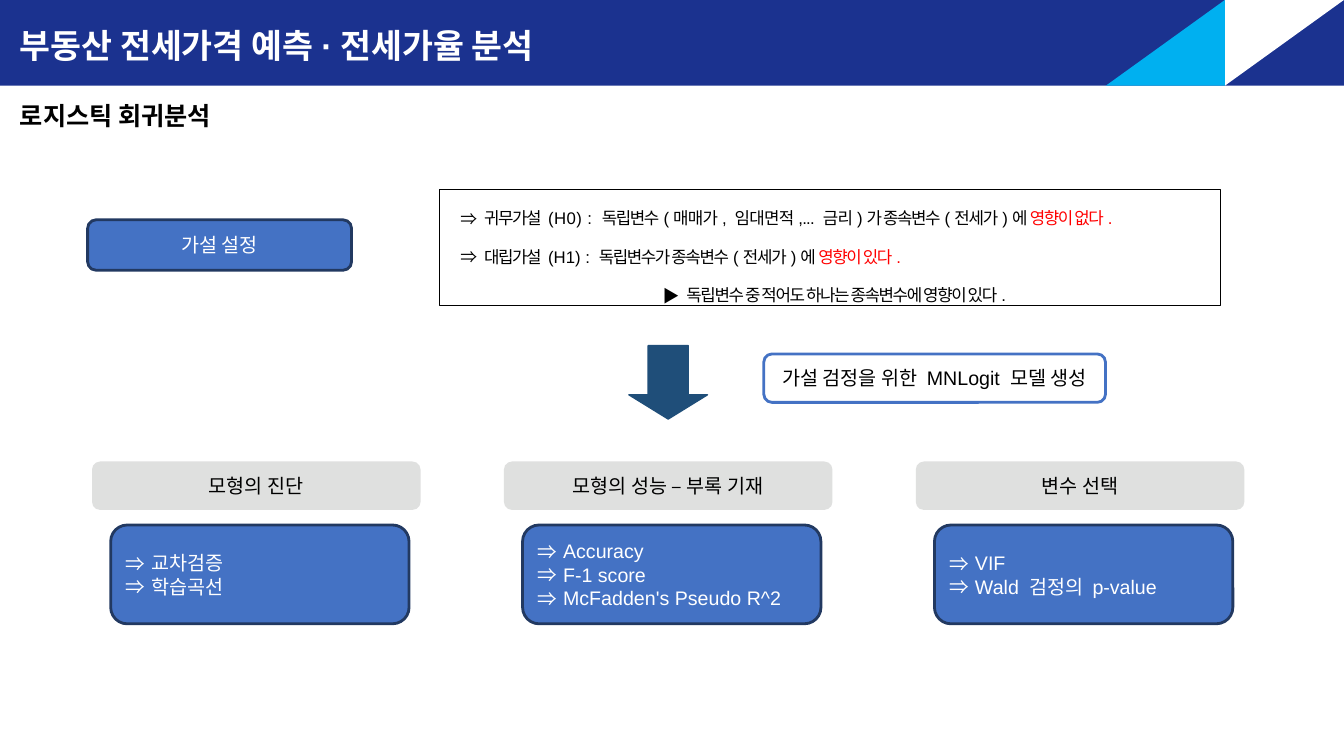
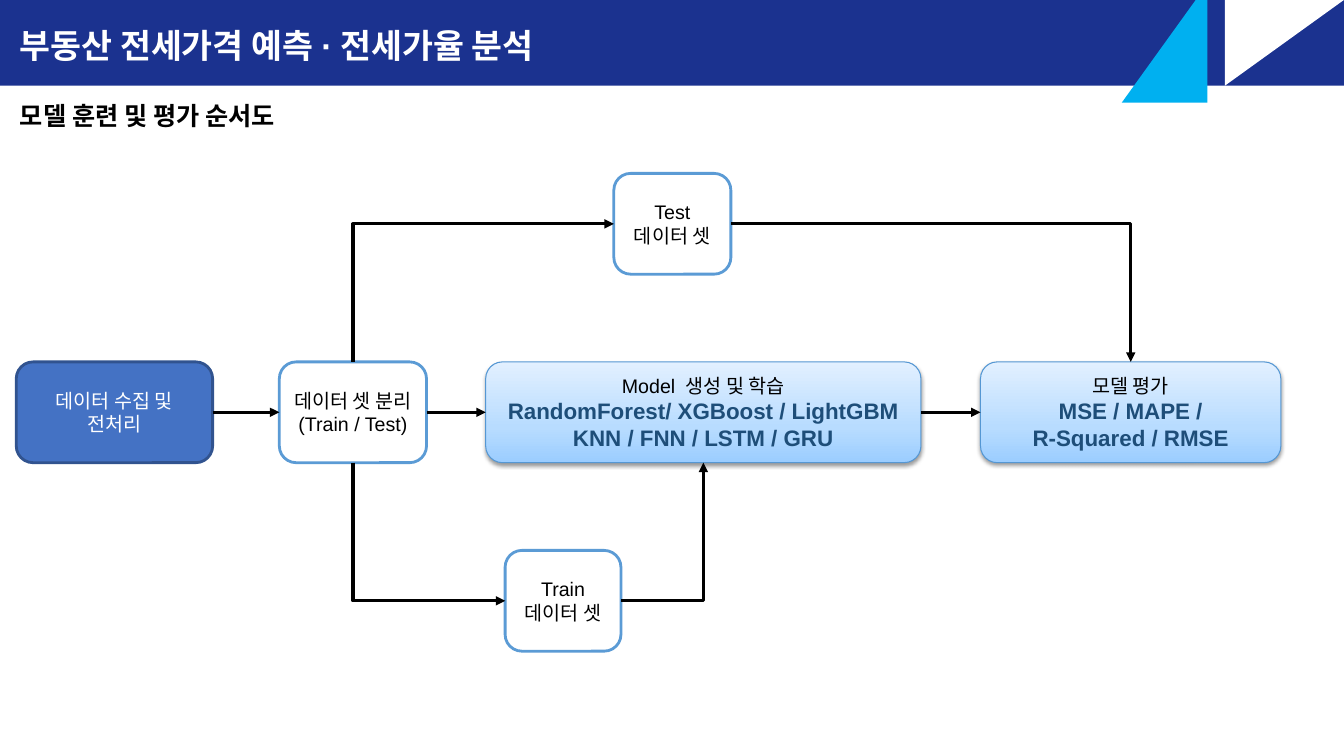
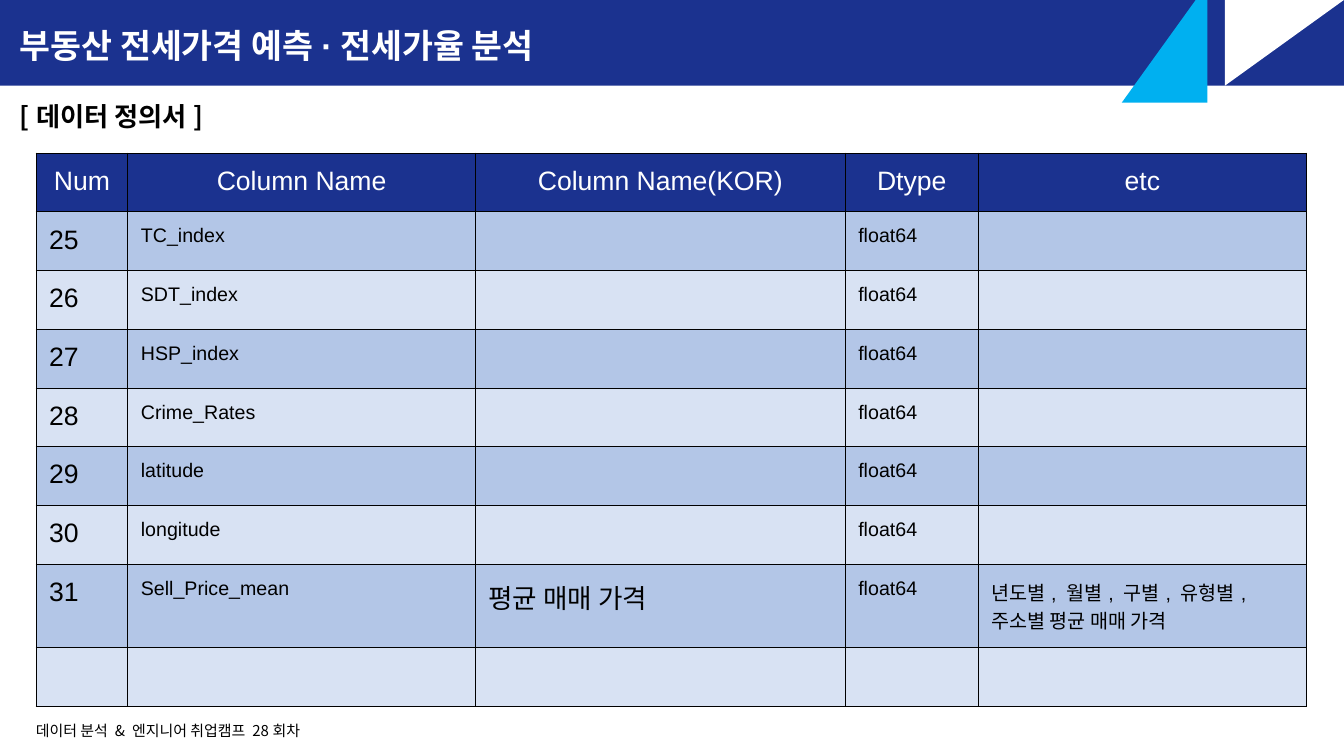
import lxml.etree
import pptx
import pptx.dml.color
import pptx.enum.shapes
import pptx.enum.text
import pptx.oxml.ns
import pptx.util

Cm = pptx.util.Cm
Pt = pptx.util.Pt
KIND = pptx.enum.shapes.MSO_SHAPE
LINK = pptx.enum.shapes.MSO_CONNECTOR
ALIGN = pptx.enum.text.PP_ALIGN
ANCHOR = pptx.enum.text.MSO_ANCHOR

COLORS = {
    "white": "FFFFFF", "black": "000000", "red": "FF0000",
    "navy": "1B328F", "cyan": "00B0F0", "blue": "4472C4",
    "edge": "223961", "start_edge": "31538F", "sky_edge": "5B9BD5",
    "model_edge": "5597D3", "arrow": "1F4E79", "models": "1E4E79",
    "gray": "DFE0DF", "row_dark": "B3C6E7", "row_light": "D8E2F3",
}
GRADIENT = [(0, "9BCDFF"), (35, "B8DCFF"), (100, "E2F0FF")]
KOREAN = "Noto Sans CJK KR"
DECK_TITLE = "부동산 전세가격 예측·전세가율 분석"
TOP, LEFT, BOTTOM, RIGHT = range(4)


def rgb(name):
    return pptx.dml.color.RGBColor.from_string(COLORS[name])


def add_xml(parent, tag, **values):
    return lxml.etree.SubElement(parent, pptx.oxml.ns.qn(tag), values)


def add_text(para, text, size=14, color="black", bold=False, font="Arial", tracking=0):
    span = para.add_run()
    span.text = text
    span.font.size = Pt(size)
    span.font.bold = bold
    span.font.name = font
    span.font.color.rgb = rgb(color)
    props = span.font._element
    add_xml(props, "a:ea", typeface=KOREAN)
    if tracking:
        props.set("spc", str(round(tracking * 100)))


def add_bullet(para, mark, color, hanging, indent=0):
    props = para._p.get_or_add_pPr()
    props.set("marL", str(Cm(indent + hanging)))
    props.set("indent", str(-Cm(hanging)))
    add_xml(add_xml(props, "a:buClr"), "a:srgbClr", val=COLORS[color])
    add_xml(props, "a:buFont", typeface=KOREAN)
    add_xml(props, "a:buChar", char=mark)


def write_lines(frame, lines, align=ALIGN.CENTER, bullet=None, **style):
    frame.word_wrap = True
    for number, line in enumerate(lines):
        para = frame.paragraphs[0] if number == 0 else frame.add_paragraph()
        para.alignment = align
        if bullet:
            add_bullet(para, bullet, style.get("color", "black"), 0.65)
        text, extra = (line, {}) if isinstance(line, str) else line
        add_text(para, text, **{**style, **extra})


def set_margins(frame, left=0, top=0, right=0, bottom=0):
    frame.margin_left, frame.margin_top = Cm(left), Cm(top)
    frame.margin_right, frame.margin_bottom = Cm(right), Cm(bottom)


def add_box(page, kind, left, top, width, height, fill=None, line=None, weight=2):
    box = page.shapes.add_shape(kind, Cm(left), Cm(top), Cm(width), Cm(height))
    box.shadow.inherit = False
    if fill:
        box.fill.solid()
        box.fill.fore_color.rgb = rgb(fill)
    else:
        box.fill.background()
    if line:
        box.line.color.rgb = rgb(line)
        box.line.width = Pt(weight)
    else:
        box.line.fill.background()
    return box


def add_card(page, place, lines, fill="white", line="sky_edge", weight=2, **style):
    card = add_box(page, KIND.ROUNDED_RECTANGLE, *place, fill, line, weight)
    card.text_frame.vertical_anchor = ANCHOR.MIDDLE
    write_lines(card.text_frame, lines, **style)
    return card


def add_triangle(page, place, color, flip):
    triangle = add_box(page, KIND.RIGHT_TRIANGLE, *place, color)
    triangle.element.spPr.find(pptx.oxml.ns.qn("a:xfrm")).set(flip, "1")


def add_page(deck, heading, accent, size=18):
    page = deck.slides.add_slide(deck.slide_layouts[5])
    title = page.shapes.title
    title.left, title.top = Cm(0.25), Cm(2.41)
    title.width, title.height = Cm(15), Cm(1.02)
    title.text_frame.auto_size = pptx.enum.text.MSO_AUTO_SIZE.NONE
    title.text_frame.vertical_anchor = ANCHOR.TOP
    write_lines(title.text_frame, [heading], ALIGN.LEFT, size=size, bold=True, font=KOREAN)

    band = add_box(page, KIND.RECTANGLE, 0, 0, 33.87, 2.16, "navy")
    set_margins(band.text_frame, 0.5, 0.13, 0.25, 0.13)
    band.text_frame.vertical_anchor = ANCHOR.TOP
    write_lines(band.text_frame, [DECK_TITLE], ALIGN.LEFT, size=24, color="white", bold=True)
    band.text_frame.paragraphs[0].line_spacing = 1.5
    add_triangle(page, (30.87, 0, 3, 2.16), "white", "flipV")
    add_triangle(page, accent, "cyan", "flipH")
    return page


def add_glow(card):
    card.fill.gradient()
    card.fill.gradient_angle = 90
    stops = card.element.spPr.find(".//" + pptx.oxml.ns.qn("a:gsLst"))
    for stop in list(stops):
        stops.remove(stop)
    for position, color in GRADIENT:
        stop = add_xml(stops, "a:gs", pos=str(position * 1000))
        add_xml(stop, "a:srgbClr", val=color)
    effects = card.element.spPr.find(pptx.oxml.ns.qn("a:effectLst"))
    shadow = add_xml(effects, "a:outerShdw", blurRad=str(Pt(3.1)), dist=str(Pt(1.6)),
                     dir="5400000", rotWithShape="0")
    shade = add_xml(shadow, "a:srgbClr", val=COLORS["black"])
    add_xml(shade, "a:alpha", val="38000")


def turn_upright(arrow, frame):
    rise = arrow.end_y - arrow.begin_y
    run = arrow.end_x - arrow.begin_x
    middle_x = (arrow.begin_x + arrow.end_x) // 2
    middle_y = (arrow.begin_y + arrow.end_y) // 2
    frame.attrib.pop("flipV", None)
    frame.set("rot", "16200000")
    if rise > 0:
        frame.set("flipH", "1")
    arrow.width, arrow.height = abs(rise), run
    arrow.left, arrow.top = middle_x - abs(rise) // 2, middle_y - run // 2


def add_arrow(page, source, source_side, target, target_side):
    straight = (source_side, target_side) == (RIGHT, LEFT)
    kind = LINK.STRAIGHT if straight else LINK.ELBOW
    arrow = page.shapes.add_connector(kind, 0, 0, 0, 0)
    arrow.begin_connect(source, source_side)
    arrow.end_connect(target, target_side)
    arrow.line.color.rgb = rgb("black")
    arrow.line.width = Pt(2.25)
    add_xml(arrow.get_or_add_ln(), "a:tailEnd", type="triangle")
    props = arrow.element.spPr
    add_xml(props, "a:effectLst")
    if not straight:
        props.find(pptx.oxml.ns.qn("a:prstGeom")).set("prst", "bentConnector2")
    if source_side in (TOP, BOTTOM):
        turn_upright(arrow, props.find(pptx.oxml.ns.qn("a:xfrm")))


def add_hypotheses(page):
    box = add_box(page, KIND.RECTANGLE, 11.07, 4.78, 19.69, 2.92, None, "black", 1)
    frame = box.text_frame
    frame.word_wrap = True
    frame.vertical_anchor = ANCHOR.TOP
    set_margins(frame, left=0.53, top=0.46)
    lines = [
        ("⇒", 0, [("귀무가설 ", -1), ("(H0) : ", 0.3), ("독립변수", -1),
                  ("(매매가, 임대면적,... 금리)", -0.5), ("가 종속변수", -1),
                  ("(전세가)", -0.8), ("에 ", -1)], "영향이 없다."),
        ("⇒", 0, [("대립가설 ", -1), ("(H1) : ", 0), ("독립변수가 종속변수", -1),
                  ("(전세가)", -0.8), ("에 ", -1)], "영향이 있다."),
        ("▶", 5.1, [("독립변수 중 적어도 하나는 종속변수에 영향이 있다.", -1)], ""),
    ]
    for number, (mark, indent, parts, verdict) in enumerate(lines):
        para = frame.paragraphs[0] if number == 0 else frame.add_paragraph()
        para.alignment = ALIGN.LEFT
        if number:
            para.space_before = Pt(13.1)
        add_bullet(para, mark, "black", 0.6, indent)
        for text, tracking in parts:
            add_text(para, text, size=12, tracking=tracking)
        if verdict:
            add_text(para, verdict, size=12, color="red", tracking=-1)


def build_regression(deck):
    page = add_page(deck, "로지스틱 회귀분석", (27.87, 0, 3, 2.16))
    add_card(page, (2.21, 5.54, 6.65, 1.27), ["가설 설정"], "blue", "edge", color="white")
    add_hypotheses(page)
    arrow = add_box(page, KIND.DOWN_ARROW, 15.85, 8.71, 1.98, 1.85, "arrow", "arrow", 1)
    arrow.adjustments[0], arrow.adjustments[1] = 0.51, 0.33
    add_card(page, (19.25, 8.92, 8.61, 1.22), ["가설 검정을 위한 MNLogit 모델 생성"], line="blue")
    columns = [
        ("모형의 진단", ["교차검증", "학습곡선"]),
        ("모형의 성능 – 부록 기재", ["Accuracy", "F-1 score", "McFadden's Pseudo R^2"]),
        ("변수 선택", ["VIF", "Wald 검정의 p-value"]),
    ]
    for number, (heading, items) in enumerate(columns):
        left = 2.32 + number * 10.38
        add_card(page, (left, 11.63, 8.28, 1.22), [heading], "gray", None)
        add_card(page, (left + 0.47, 13.23, 7.52, 2.49), items, "blue", "edge",
                 align=ALIGN.LEFT, bullet="⇒", color="white")


def build_flowchart(deck, accent):
    page = add_page(deck, "모델 훈련 및 평가 순서도", accent)
    row, height = 9.12, 2.54
    strong = {"size": 16, "color": "models", "bold": True}
    collect = add_card(page, (0.41, row, 4.95, height), ["데이터 수집 및 전처리"],
                       "blue", "start_edge", color="white")
    split = add_card(page, (7.04, row, 3.71, height), ["데이터 셋 분리", "(Train / Test)"])
    model = add_card(page, (12.24, row, 10.97, height), [
        "Model 생성 및 학습",
        ("RandomForest/ XGBoost / LightGBM", strong),
        ("KNN / FNN / LSTM / GRU", strong),
    ], line="model_edge", weight=0.75)
    review = add_card(page, (24.71, row, 7.57, height), [
        "모델 평가", ("MSE / MAPE /", strong), ("R-Squared / RMSE", strong),
    ], line="model_edge", weight=0.75)
    for card in (model, review):
        add_glow(card)
    test = add_card(page, (15.47, 4.37, 2.95, height), ["Test", "데이터 셋"])
    train = add_card(page, (12.73, 13.87, 2.92, height), ["Train", "데이터 셋"])
    for link in [
        (collect, RIGHT, split, LEFT), (split, RIGHT, model, LEFT),
        (model, RIGHT, review, LEFT), (split, BOTTOM, train, LEFT),
        (split, TOP, test, LEFT), (test, RIGHT, review, TOP),
        (train, RIGHT, model, BOTTOM),
    ]:
        add_arrow(page, *link)


def format_cell(cell, text, fill, size, color="black", align=ALIGN.LEFT):
    props = cell._tc.get_or_add_tcPr()
    for side in ("a:lnL", "a:lnR", "a:lnT", "a:lnB"):
        border = add_xml(props, side, w=str(Pt(0.75)))
        add_xml(add_xml(border, "a:solidFill"), "a:srgbClr", val=COLORS["black"])
    cell.fill.solid()
    cell.fill.fore_color.rgb = rgb(fill)
    if text:
        cell.margin_left = cell.margin_right = Cm(0.33)
        cell.margin_top = cell.margin_bottom = Cm(0.33)
        write_lines(cell.text_frame, [text], align, size=size, color=color)


def build_dictionary(deck, accent):
    page = add_page(deck, "[데이터 정의서]", accent, size=18.7)
    names = ["TC_index", "SDT_index", "HSP_index", "Crime_Rates", "latitude", "longitude"]
    rows = [["Num", "Column Name", "Column Name(KOR)", "Dtype", "etc"]]
    rows += [[str(number), name, "", "float64", ""] for number, name in enumerate(names, 25)]
    rows.append(["31", "Sell_Price_mean", "평균 매매 가격", "float64",
                 "년도별, 월별, 구별, 유형별, 주소별 평균 매매 가격"])
    rows.append([""] * 5)
    widths = [2.31, 8.76, 9.32, 3.35, 8.28]
    sizes = [19, 14, 19, 14, 14]
    table = page.shapes.add_table(len(rows), len(widths), Cm(0.91), Cm(3.86),
                                  Cm(sum(widths)), Cm(1.48 * len(rows))).table
    table.first_row = table.horz_banding = False
    for column, width in zip(table.columns, widths):
        column.width = Cm(width)
    for number, texts in enumerate(rows):
        table.rows[number].height = Cm(1.48)
        for place, text in enumerate(texts):
            cell = table.cell(number, place)
            if number == 0:
                format_cell(cell, text, "navy", 19, "white", ALIGN.CENTER)
            else:
                format_cell(cell, text, "row_dark" if number % 2 else "row_light", sizes[place])
    footer = page.shapes.add_textbox(Cm(0.3), Cm(17.98), Cm(7.87), Cm(0.81))
    write_lines(footer.text_frame, ["데이터 분석 & 엔지니어 취업캠프 28회차"], size=10.7, font=KOREAN)
    footer.text_frame.paragraphs[0].line_spacing = 1.2


def main():
    deck = pptx.Presentation()
    deck.slide_width, deck.slide_height = Cm(33.87), Cm(19.05)
    tall_accent = (28.27, -0.41, 2.16, 3)
    build_regression(deck)
    build_flowchart(deck, tall_accent)
    build_dictionary(deck, tall_accent)
    deck.save("out.pptx")


if __name__ == "__main__":
    main()
